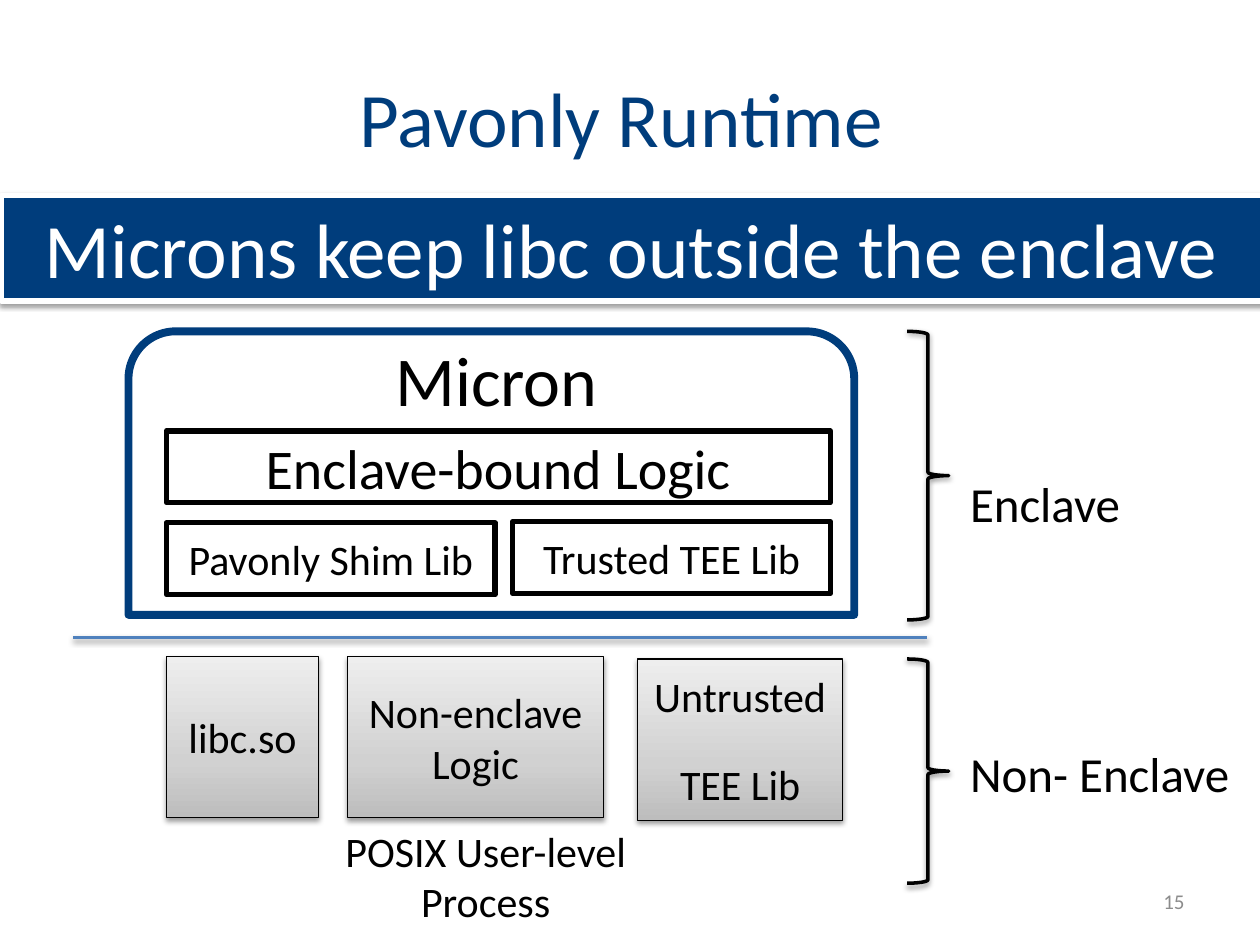
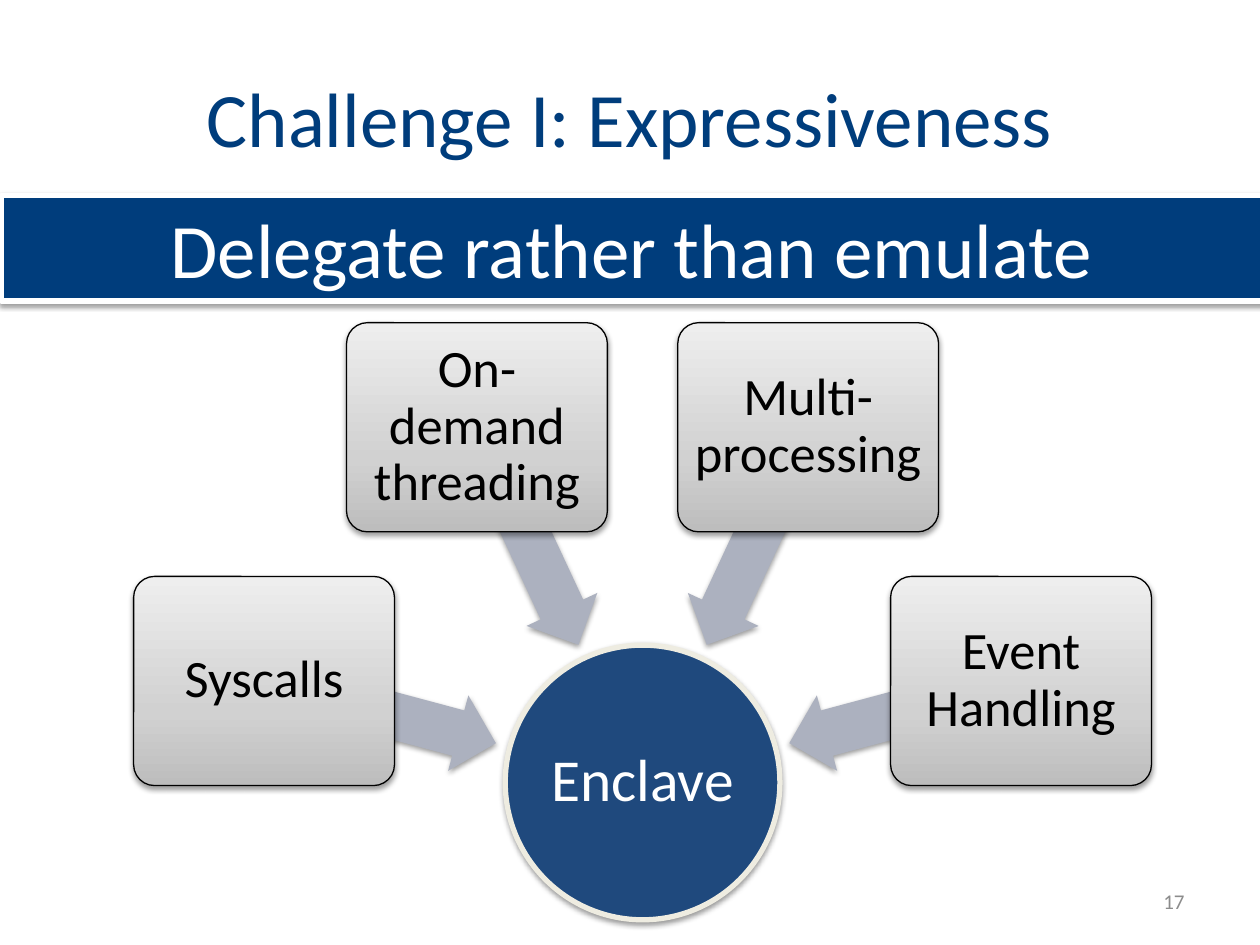
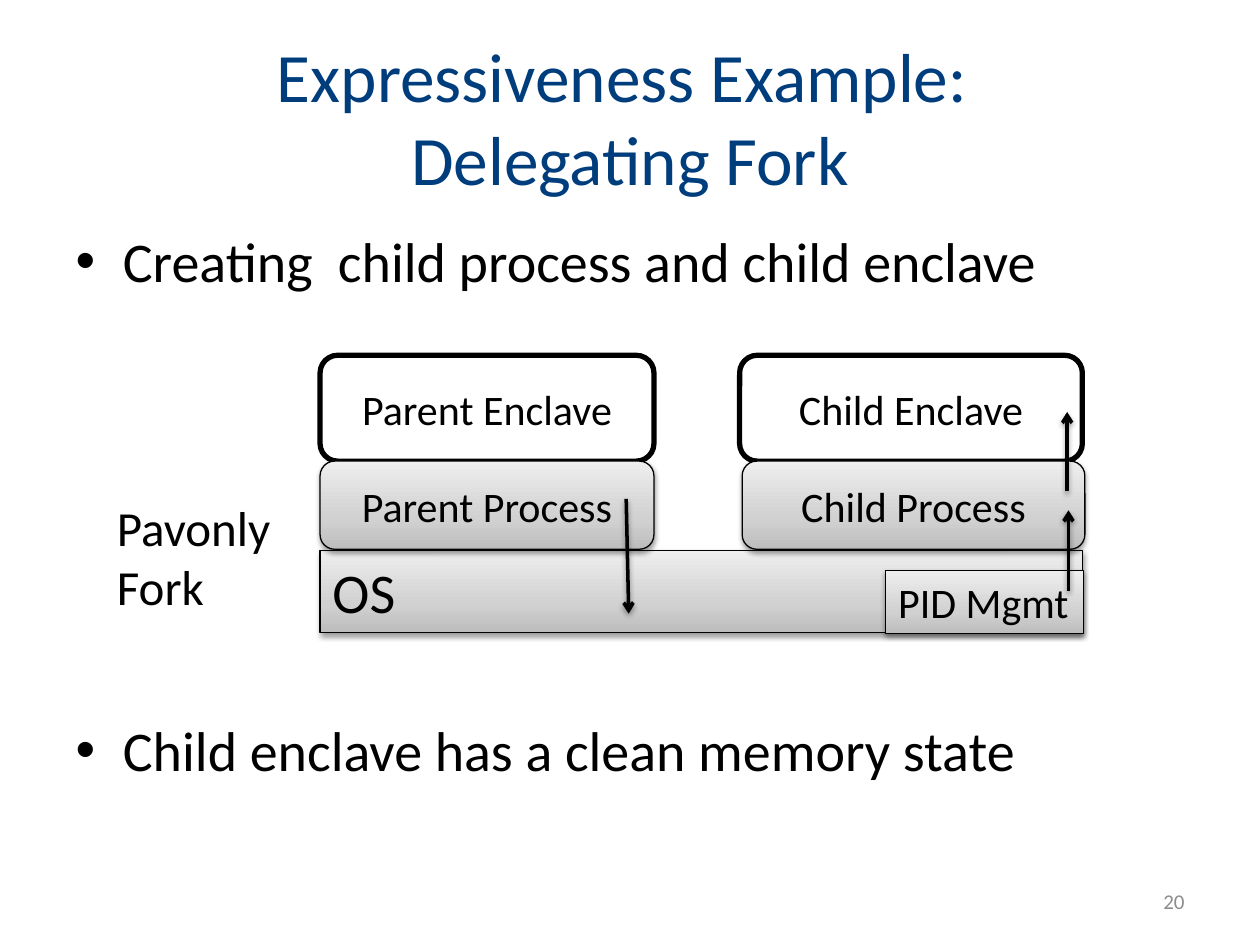
from copy import deepcopy
from math import cos, radians, sin

from lxml.etree import SubElement
from pptx import Presentation
from pptx.dml.color import RGBColor
from pptx.enum.shapes import MSO_CONNECTOR, MSO_SHAPE
from pptx.enum.text import MSO_ANCHOR, MSO_AUTO_SIZE, PP_ALIGN
from pptx.oxml.ns import qn
from pptx.util import Inches, Pt

COLORS = {
    "navy": "003D7C",
    "white": "FFFFFF",
    "black": "000000",
    "number": "8C8C8C",
    "divider": "4F81BD",
    "hub": "1F497D",
    "hub_edge": "EEECE1",
    "arrow": "ACB1BF",
}
GREY_STOPS = [(0, "BDBDBD"), (0.35, "D1D1D1"), (1, "EEEEEE")]
FONT = "Calibri"
LEFT, CENTER, RIGHT = PP_ALIGN.LEFT, PP_ALIGN.CENTER, PP_ALIGN.RIGHT
TOP, MIDDLE = MSO_ANCHOR.TOP, MSO_ANCHOR.MIDDLE


def add_shadow(item):
    effects = SubElement(item._element.spPr, qn("a:effectLst"))
    shadow = SubElement(effects, qn("a:outerShdw"), blurRad=str(Pt(3.1)),
                        dist=str(Pt(1.6)), dir="5400000", rotWithShape="0")
    tint = SubElement(shadow, qn("a:srgbClr"), val=COLORS["black"])
    SubElement(tint, qn("a:alpha"), val="38000")


def add_block(slide, kind, at, text="", size=24, color="black", fill=None, edge=None,
              width=0.75, shadow=False, align=CENTER, anchor=MIDDLE, wrap=True):
    place = [Inches(value) for value in at]
    if kind is None:
        block = slide.shapes.add_textbox(*place)
    else:
        block = slide.shapes.add_shape(kind, *place)
        if fill == "grey":
            block.fill.gradient()
            stops = block._element.spPr.find(qn("a:gradFill")).find(qn("a:gsLst"))
            stops.insert(1, deepcopy(stops[0]))
            for stop, (position, shade) in zip(block.fill.gradient_stops, GREY_STOPS):
                stop.position = position
                stop.color.rgb = RGBColor.from_string(shade)
            block.fill.gradient_angle = 90
        elif fill:
            block.fill.solid()
            block.fill.fore_color.rgb = RGBColor.from_string(COLORS[fill])
        else:
            block.fill.background()
        if edge:
            block.line.color.rgb = RGBColor.from_string(COLORS[edge])
            block.line.width = Pt(width)
        else:
            block.line.fill.background()
        if shadow:
            add_shadow(block)
        else:
            block.shadow.inherit = False
    frame = block.text_frame
    frame.word_wrap = wrap
    frame.vertical_anchor = anchor
    if text:
        frame.text = text
    for paragraph in frame.paragraphs:
        paragraph.alignment = align
        for run in paragraph.runs:
            run.font.name = FONT
            run.font.size = Pt(size)
            run.font.color.rgb = RGBColor.from_string(COLORS[color])
    return block


deck = Presentation()
deck.slide_width, deck.slide_height = Inches(10), Inches(7.5)
white_box = {"fill": "white", "edge": "black", "width": 3}
grey_box = {"fill": "grey", "edge": "black", "shadow": True}
label = {"align": LEFT, "anchor": TOP, "wrap": False}

TITLE_ONLY, TWO_CONTENT = 5, 3
slides = []
for layout, heading, heading_size, number, message in [
    (TITLE_ONLY, "Pavonly Runtime ", 44, "15", "Microns keep libc outside the enclave"),
    (TITLE_ONLY, "Challenge I: Expressiveness", 44, "17", "Delegate rather than emulate"),
    (TWO_CONTENT, "Expressiveness Example: \vDelegating Fork", 39.6, "20", None),
]:
    slide = deck.slides.add_slide(deck.slide_layouts[layout])
    title = slide.shapes.title
    title.left, title.top, title.width, title.height = map(Inches, (0.5, 0.3, 9, 1.25))
    title.text_frame.text = heading
    title.text_frame.auto_size = MSO_AUTO_SIZE.NONE
    for run in title.text_frame.paragraphs[0].runs:
        run.font.name = FONT
        run.font.size = Pt(heading_size)
        run.font.color.rgb = RGBColor.from_string(COLORS["navy"])
    add_block(slide, None, (7.17, 6.95, 2.33, 0.4), number, 12, "number", align=RIGHT)
    if message:
        add_block(slide, MSO_SHAPE.RECTANGLE, (0.01, 1.55, 10.01, 0.84), message, 44, "white",
                  fill="navy", edge="white", width=3, shadow=True, anchor=TOP)
    slides.append(slide)
runtime, challenge, fork = slides

add_block(runtime, MSO_SHAPE.ROUND_2_SAME_RECTANGLE, (1.02, 2.63, 5.76, 2.25),
          fill="white", edge="navy", width=4.5)
for name, at, size in [
    ("Enclave-bound Logic", (1.32, 3.42, 5.27, 0.57), 32),
    ("Pavonly Shim Lib", (1.32, 4.15, 2.61, 0.57), 24),
    ("Trusted TEE Lib", (4.07, 4.14, 2.52, 0.57), 24),
]:
    add_block(runtime, MSO_SHAPE.RECTANGLE, at, name, size, **white_box)
for name, at in [
    ("libc.so", (1.32, 5.21, 1.21, 1.28)),
    ("Non-enclave\nLogic", (2.76, 5.21, 2.03, 1.28)),
    ("Untrusted \vTEE Lib", (5.06, 5.23, 1.63, 1.28)),
]:
    add_block(runtime, MSO_SHAPE.RECTANGLE, at, name, **grey_box)
add_block(runtime, None, (2.11, 6.5, 3.49, 0.5), "POSIX User-level Process",
          anchor=TOP, wrap=False)
divider = runtime.shapes.add_connector(
    MSO_CONNECTOR.STRAIGHT, Inches(0.58), Inches(5.06), Inches(7.36), Inches(5.06))
divider.line.color.rgb = RGBColor.from_string(COLORS["divider"])
divider.line.width = Pt(2)
add_shadow(divider)
for zone, brace_top, brace_height, zone_top, zone_width in [
    ("Enclave", 2.63, 2.29, 3.71, 1.42),
    ("Non- Enclave", 5.23, 1.78, 5.85, 2.29),
]:
    add_block(runtime, MSO_SHAPE.RIGHT_BRACE, (7.2, brace_top, 0.33, brace_height),
              edge="black", width=2, shadow=True)
    add_block(runtime, None, (7.6, zone_top, zone_width, 0.57), zone, 28, **label)
add_block(runtime, None, (3.04, 2.62, 1.83, 0.77), "Micron", 40, **label)

hub_x, hub_y, hub_size = 5.1, 6.21, 2.18
arrow_reach, arrow_width, arrow_height = 2.16, 1.91, 0.62
need_reach, need_width, need_height = 3.11, 2.07, 1.66
hub = add_block(challenge, MSO_SHAPE.OVAL,
                (hub_x - hub_size / 2, hub_y - hub_size / 2, hub_size, hub_size),
                "Enclave", 34, "white", fill="hub", edge="hub_edge", width=3, shadow=True)
padded = [(hub, 0.02)]
needs = ["Syscalls", "On-demand threading", "Multi-processing", "Event Handling"]
for index, need in enumerate(needs):
    angle = 195 + 50 * index
    across, down = cos(radians(angle)), sin(radians(angle))
    arrow = add_block(challenge, MSO_SHAPE.LEFT_ARROW,
                      (hub_x + arrow_reach * across - arrow_width / 2,
                       hub_y + arrow_reach * down - arrow_height / 2,
                       arrow_width, arrow_height), fill="arrow", shadow=True)
    arrow.adjustments[0], arrow.adjustments[1] = 0.6, 0.5
    arrow.rotation = angle
    need_box = add_block(challenge, MSO_SHAPE.ROUNDED_RECTANGLE,
                         (hub_x + need_reach * across - need_width / 2,
                          hub_y + need_reach * down - need_height / 2,
                          need_width, need_height), need, 30, **grey_box)
    need_box.adjustments[0] = 0.1
    padded.append((need_box, 0.06))
for box, inset in padded:
    frame = box.text_frame
    frame.margin_left = frame.margin_right = Inches(inset)
    frame.margin_top = frame.margin_bottom = Inches(inset)
    frame.paragraphs[0].line_spacing = 0.9

add_block(fork, None, (0.83, 3.9, 1.48, 1.04), "Pavonly\nFork", 28, **label)
add_block(fork, MSO_SHAPE.RECTANGLE, (2.54, 4.37, 6.05, 0.65), "OS", 32,
          align=LEFT, **grey_box)
add_block(fork, MSO_SHAPE.RECTANGLE, (7.03, 4.53, 1.57, 0.5), "PID Mgmt", **grey_box, **label)
for name, at, style in [
    ("Parent Enclave", (2.54, 2.82, 2.65, 0.84), white_box),
    ("Child Enclave", (5.87, 2.82, 2.72, 0.84), white_box),
    ("Parent Process", (2.54, 3.66, 2.65, 0.7), grey_box),
    ("Child Process", (5.89, 3.66, 2.72, 0.7), grey_box),
]:
    add_block(fork, MSO_SHAPE.ROUNDED_RECTANGLE, at, name, **style)
for ends in [(4.97, 3.96, 4.99, 4.87), (8.48, 4.69, 8.48, 4.05), (8.47, 3.9, 8.47, 3.27)]:
    call = fork.shapes.add_connector(MSO_CONNECTOR.STRAIGHT, *map(Inches, ends))
    call.line.color.rgb = RGBColor.from_string(COLORS["black"])
    call.line.width = Pt(2)
    SubElement(call.line._get_or_add_ln(), qn("a:tailEnd"), type="arrow")
    add_shadow(call)
for index, point, at in [
    (1, "Creating  child process and child enclave", (0.5, 1.75, 9, 0.86)),
    (2, "Child enclave has a clean memory state", (0.5, 5.63, 7.73, 1.29)),
]:
    bullet = fork.placeholders[index]
    bullet.left, bullet.top, bullet.width, bullet.height = map(Inches, at)
    bullet.text_frame.text = point
    bullet.text_frame.auto_size = MSO_AUTO_SIZE.NONE
    font = bullet.text_frame.paragraphs[0].runs[0].font
    font.name = FONT
    font.size = Pt(32)
    font.color.rgb = RGBColor.from_string(COLORS["black"])

deck.save("out.pptx")
